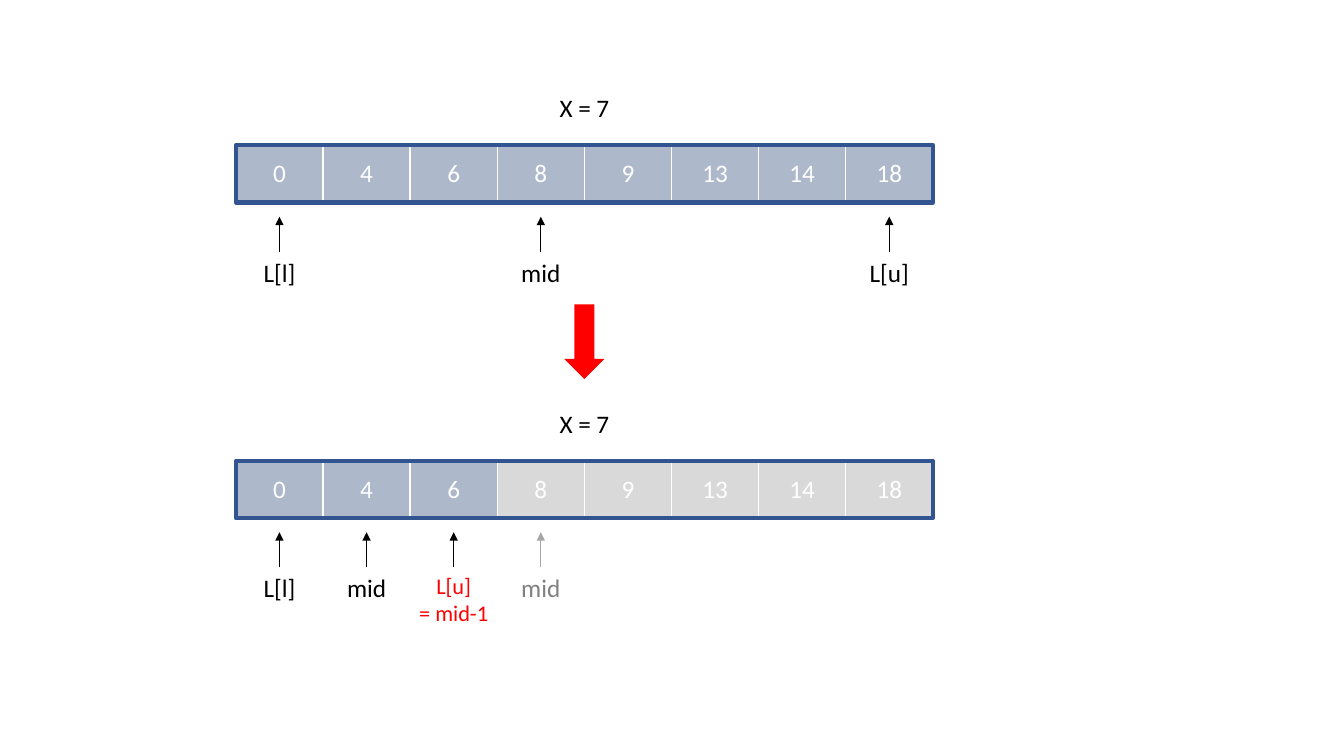
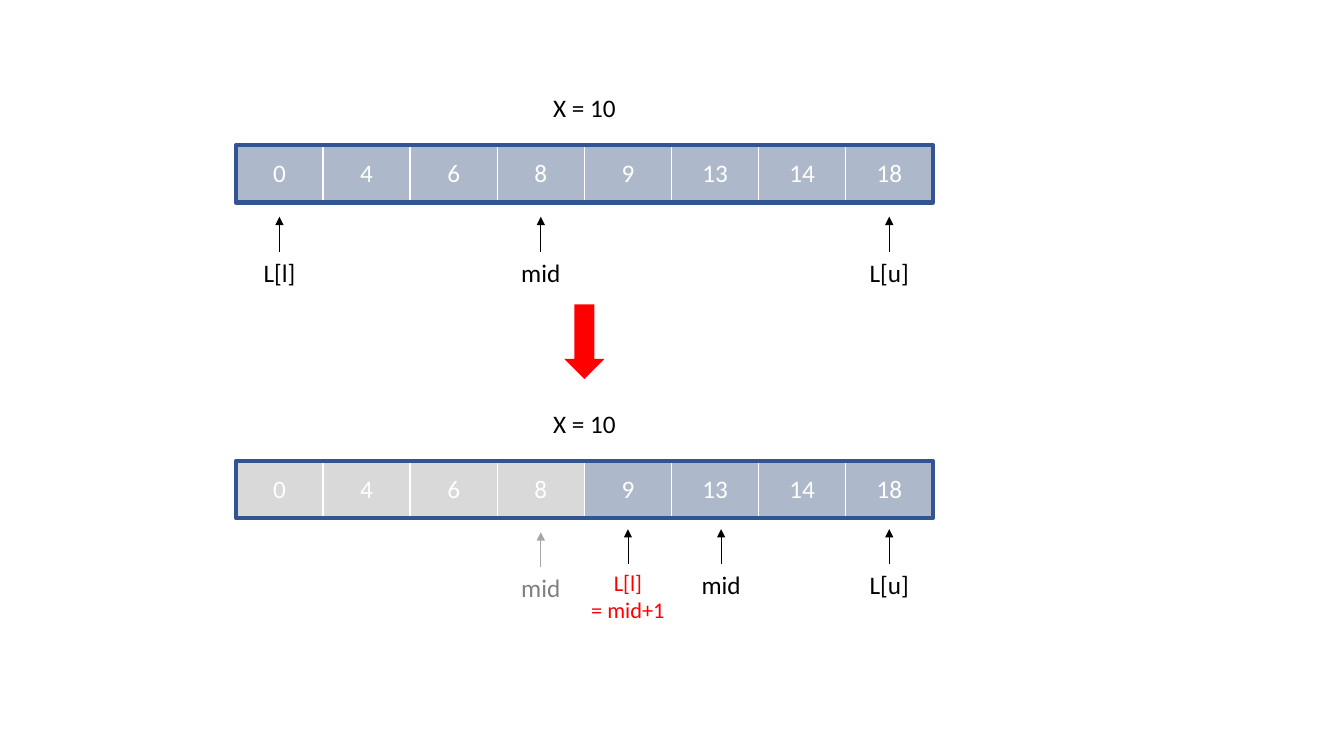
from dataclasses import dataclass

from pptx import Presentation
from pptx.dml.color import RGBColor
from pptx.enum.shapes import MSO_CONNECTOR, MSO_SHAPE
from pptx.enum.text import MSO_ANCHOR, PP_ALIGN
from pptx.oxml.ns import qn
from pptx.util import Inches, Pt

RECTANGLE, DOWN_ARROW = MSO_SHAPE.RECTANGLE, MSO_SHAPE.DOWN_ARROW
STRAIGHT = MSO_CONNECTOR.STRAIGHT
CENTER = PP_ALIGN.CENTER
TOP, MIDDLE = MSO_ANCHOR.TOP, MSO_ANCHOR.MIDDLE


@dataclass(frozen=True)
class Theme:
    """Colours, font, type sizes and line widths of both slides."""
    font: str = "Calibri"
    white: str = "FFFFFF"
    active: str = "ADB9CA"
    discarded: str = "D9D9D9"
    frame: str = "325491"
    ink: str = "000000"
    accent: str = "FF0000"
    old_arrow: str = "A6A6A6"
    old_label: str = "808080"
    body: int = 18
    small: int = 16
    cell_line: float = 1
    frame_line: float = 3
    pointer_line: float = 0.5


THEME = Theme()
SLIDE_W, SLIDE_H = 13.33, 7.5
LEFT, CELL_W, CELL_H = 2.34, 0.864, 0.57
BEFORE_TOP, AFTER_TOP = 1.43, 4.56
TARGET_RISE, LABEL_H = 0.56, 0.4
ARROW_START, ARROW_END = 1.07, 0.72
VALUES = [0, 4, 6, 8, 9, 13, 14, 18]
MIDDLE_COLUMN = (len(VALUES) - 1) / 2

POINTER_STYLES = {
    "current": {"arrow": THEME.ink, "label": THEME.ink,
                "size": THEME.body, "width": CELL_W, "height": LABEL_H},
    "moved": {"arrow": THEME.ink, "label": THEME.accent,
              "size": THEME.small, "width": 1, "height": 0.64},
    "old": {"arrow": THEME.old_arrow, "label": THEME.old_label,
            "size": THEME.body, "width": CELL_W, "height": LABEL_H},
}

START_POINTERS = [(0, "L[l]", "current", 0), (7, "L[u]", "current", 0),
                  (3, "mid", "current", 0)]
SEARCHES = [
    {"target": "X = 7", "kept": range(0, 3),
     "pointers": [(0, "L[l]", "current", 0), (2, "L[u]\n= mid-1", "moved", 0),
                  (1, "mid", "current", 0), (3, "mid", "old", 0)]},
    {"target": "X = 10", "kept": range(4, 8),
     "pointers": [(7, "L[u]", "current", 0.03),
                  (4, "L[l]\n= mid+1", "moved", 0.03),
                  (5.07, "mid", "current", 0.03), (3, "mid", "old", 0)]},
]


def column_center(column):
    """Return the horizontal centre of an array column in inches."""
    return LEFT + (column + 0.5) * CELL_W


def set_text(owner, text, size, color, anchor):
    """Write centred paragraphs in the theme font."""
    frame = owner.text_frame
    for name, value in {"word_wrap": True, "vertical_anchor": anchor,
                        "text": text}.items():
        setattr(frame, name, value)
    for paragraph in frame.paragraphs:
        paragraph.alignment = CENTER
        for name, value in {"name": THEME.font, "size": Pt(size)}.items():
            setattr(paragraph.font, name, value)
        paragraph.font.color.rgb = RGBColor.from_string(color)


def add_block(shapes, kind, box, fill=None, line=None, line_width=0):
    """Add a flat preset shape with an optional fill and outline."""
    block = shapes.add_shape(kind, *map(Inches, box))
    block.shadow.inherit = False
    if fill:
        block.fill.solid()
        block.fill.fore_color.rgb = RGBColor.from_string(fill)
    else:
        block.fill.background()
    if line:
        block.line.color.rgb = RGBColor.from_string(line)
        block.line.width = Pt(line_width)
    else:
        block.line.fill.background()
    return block


def add_label(shapes, column, top, text, style):
    """Add a text box centred on an array column."""
    left = column_center(column) - style["width"] / 2
    label = shapes.add_textbox(
        *map(Inches, (left, top, style["width"], style["height"])))
    set_text(label, text, style["size"], style["label"], TOP)


def add_pointer(shapes, top, column, text, style_name, lift):
    """Add an upward arrow below the array with its index label."""
    style = POINTER_STYLES[style_name]
    x, base = column_center(column), top - lift
    arrow = shapes.add_connector(
        STRAIGHT, *map(Inches, (x, base + ARROW_START, x, base + ARROW_END)))
    arrow.line.color.rgb = RGBColor.from_string(style["arrow"])
    arrow.line.width = Pt(THEME.pointer_line)
    outline = arrow.line._get_or_add_ln()
    outline.append(outline.makeelement(qn("a:tailEnd"), {"type": "triangle"}))
    properties = arrow._element.spPr
    properties.append(properties.makeelement(qn("a:effectLst"), {}))
    add_label(shapes, column, base + ARROW_START, text, style)


def add_array(slide, top, target, kept, pointers):
    """Add one grouped search step: cells, frame, target and pointers."""
    shapes = slide.shapes.add_group_shape().shapes
    for column, value in enumerate(VALUES):
        fill = THEME.active if column in kept else THEME.discarded
        cell = add_block(shapes, RECTANGLE,
                         (LEFT + column * CELL_W, top, CELL_W, CELL_H),
                         fill, THEME.white, THEME.cell_line)
        set_text(cell, str(value), THEME.body, THEME.white, MIDDLE)
    add_block(shapes, RECTANGLE,
              (LEFT, top + 0.01, len(VALUES) * CELL_W, CELL_H),
              line=THEME.frame, line_width=THEME.frame_line)
    add_label(shapes, MIDDLE_COLUMN, top - TARGET_RISE, target,
              POINTER_STYLES["current"])
    for pointer in pointers:
        add_pointer(shapes, top, *pointer)


def add_step_arrow(slide):
    """Add the red arrow that leads from the first step to the second."""
    width, height = 0.4, 0.74
    left = column_center(MIDDLE_COLUMN) - width / 2
    add_block(slide.shapes, DOWN_ARROW, (left, 3.02, width, height),
              THEME.accent)


def main():
    """Build one slide per search and save the presentation."""
    deck = Presentation()
    deck.slide_width, deck.slide_height = Inches(SLIDE_W), Inches(SLIDE_H)
    blank = deck.slide_layouts.get_by_name("Blank")
    for search in SEARCHES:
        slide = deck.slides.add_slide(blank)
        add_array(slide, AFTER_TOP, **search)
        add_array(slide, BEFORE_TOP, search["target"], range(len(VALUES)),
                  START_POINTERS)
        add_step_arrow(slide)
    deck.save("out.pptx")


if __name__ == "__main__":
    main()
